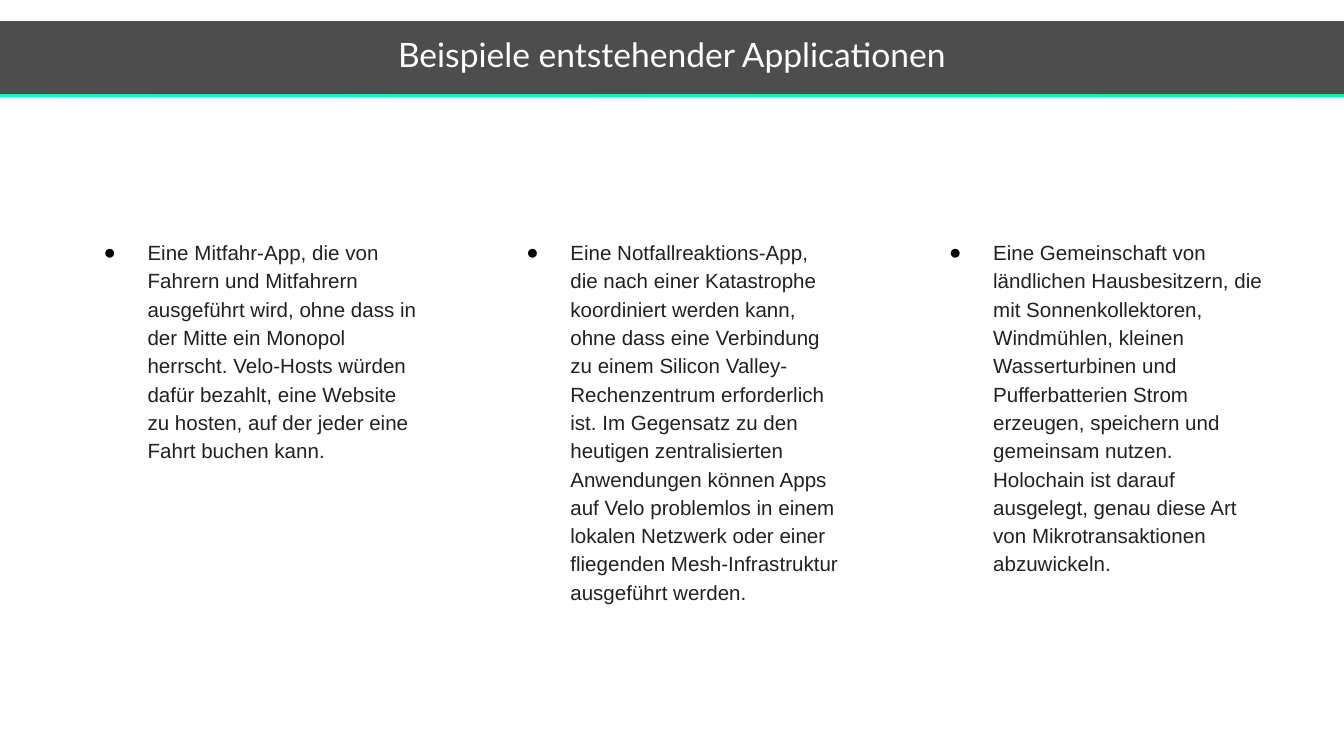
from pptx import Presentation
from pptx.dml.color import RGBColor
from pptx.enum.shapes import MSO_SHAPE as Kind
from pptx.enum.text import MSO_ANCHOR as Anchor, PP_ALIGN as Align
from pptx.util import Cm, Pt
from lxml.etree import SubElement
from pptx.oxml.ns import qn

WIDTH, HEIGHT = 25.4, 14.29
MARGIN, COLUMN = 1.27, 6.88

TITLE = "Beispiele entstehender Applicationen"
APPS = [
    "Eine Mitfahr-App, die von Fahrern und Mitfahrern ausgeführt wird, "
    "ohne dass in der Mitte ein Monopol herrscht. Velo-Hosts würden dafür "
    "bezahlt, eine Website zu hosten, auf der jeder eine Fahrt buchen kann.",
    "Eine Notfallreaktions-App, die nach einer Katastrophe koordiniert "
    "werden kann, ohne dass eine Verbindung zu einem Silicon "
    "Valley-Rechenzentrum erforderlich ist. Im Gegensatz zu den heutigen "
    "zentralisierten Anwendungen können Apps auf Velo problemlos in einem "
    "lokalen Netzwerk oder einer fliegenden Mesh-Infrastruktur ausgeführt "
    "werden.",
    "Eine Gemeinschaft von ländlichen Hausbesitzern, die mit "
    "Sonnenkollektoren, Windmühlen, kleinen Wasserturbinen und "
    "Pufferbatterien Strom erzeugen, speichern und gemeinsam nutzen. "
    "Holochain ist darauf ausgelegt, genau diese Art von "
    "Mikrotransaktionen abzuwickeln.",
]


def color(code):
    return RGBColor.from_string(code)


class Deck:
    dark, ink, white, black = "4D4D4D", "212121", "FFFFFF", "000000"
    glow = ("00FFCE", "00FF99")
    inset = Cm(0.25)

    def __init__(self):
        self.show = Presentation()
        self.show.slide_width = Cm(WIDTH)
        self.show.slide_height = Cm(HEIGHT)
        self.slide = self.show.slides.add_slide(self.show.slide_layouts[6])

    def rect(self, top, height):
        shape = self.slide.shapes.add_shape(
            Kind.RECTANGLE, 0, Cm(top), Cm(WIDTH), Cm(height))
        shape.shadow.inherit = False
        shape.line.fill.background()
        return shape

    def label(self, shape, text, font, size, code):
        frame = shape.text_frame
        frame.word_wrap = True
        frame.vertical_anchor = Anchor.TOP
        frame.margin_left = frame.margin_right = self.inset
        frame.margin_top = frame.margin_bottom = self.inset
        para = frame.paragraphs[0]
        para.text = text
        para.font.name = font
        para.font.size = Pt(size)
        para.font.color.rgb = color(code)
        return para

    def title(self, text, top, height):
        bar = self.rect(top, height)
        bar.fill.solid()
        bar.fill.fore_color.rgb = color(self.dark)
        para = self.label(bar, text, "Lato", 18, self.white)
        para.alignment = Align.CENTER

    def stripe(self, top, height):
        fill = self.rect(top, height).fill
        fill.gradient()
        fill.gradient_angle = 0
        for stop, code in zip(fill.gradient_stops, self.glow):
            stop.color.rgb = color(code)

    def bullet(self, para):
        props = para._p.get_or_add_pPr()
        props.set("marL", str(Cm(1.27)))
        props.set("indent", str(Cm(-0.83)))
        tint = SubElement(props, qn("a:buClr"))
        SubElement(tint, qn("a:srgbClr"), val=self.black)
        SubElement(props, qn("a:buFont"), typeface="Arial")
        SubElement(props, qn("a:buChar"), char="●")

    def column(self, text, left, top, width, height):
        box = self.slide.shapes.add_textbox(
            Cm(left), Cm(top), Cm(width), Cm(height))
        self.bullet(box.text_frame.paragraphs[0])
        para = self.label(box, text, "Arial", 11, self.ink)
        para.line_spacing = 1.15

    def save(self):
        self.show.save("out.pptx")


def main():
    deck = Deck()
    deck.title(TITLE, 0.4, 1.39)
    step = (WIDTH - 2 * MARGIN - COLUMN) / (len(APPS) - 1)
    for i, text in enumerate(APPS):
        deck.column(text, MARGIN + i * step, 4.22, COLUMN, 8.84)
    deck.stripe(1.78, 0.06)
    deck.save()


if __name__ == "__main__":
    main()
